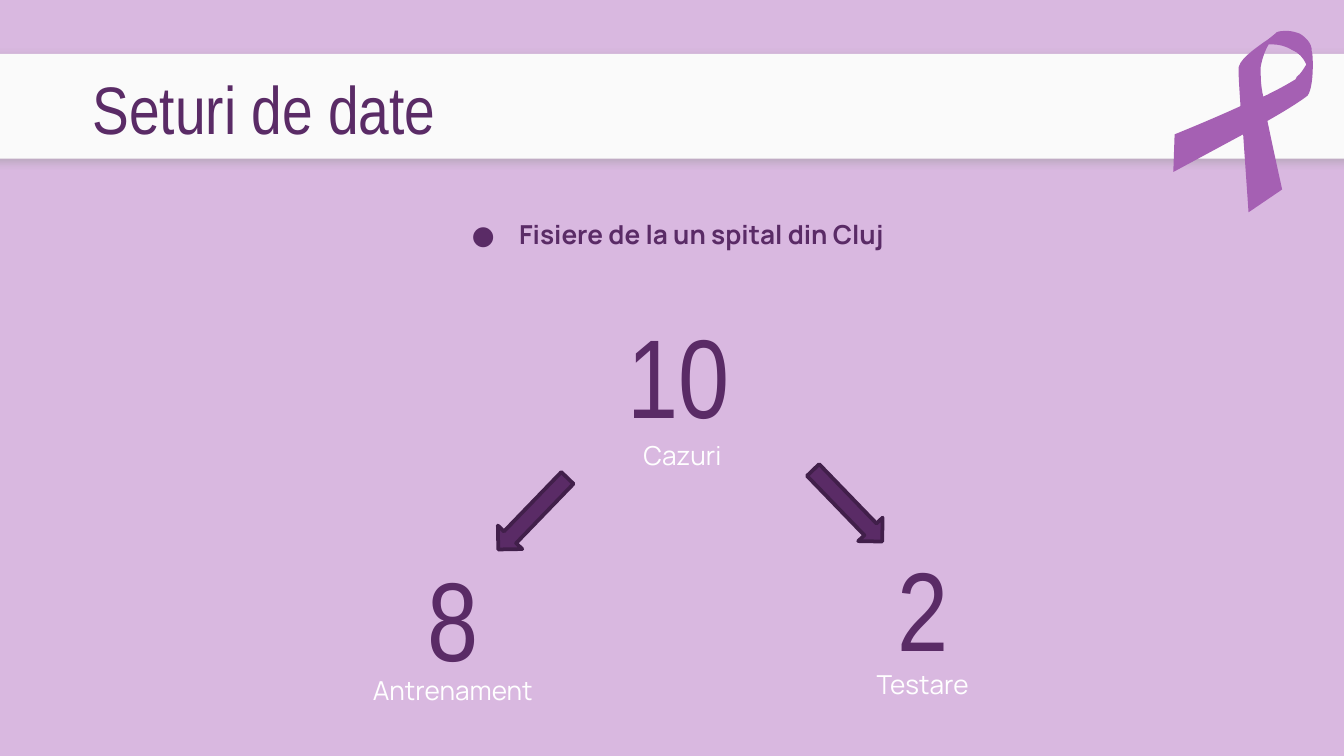
from dataclasses import dataclass

import pptx
import pptx.dml.color
import pptx.enum.shapes
import pptx.enum.text
import pptx.oxml
import pptx.oxml.ns
import pptx.util

Cm = pptx.util.Cm
Pt = pptx.util.Pt
qn = pptx.oxml.ns.qn
SPACE = pptx.oxml.ns.nsdecls("a")
SHAPE = pptx.enum.shapes.MSO_SHAPE
ALIGN = pptx.enum.text.PP_ALIGN
ANCHOR = pptx.enum.text.MSO_ANCHOR


@dataclass(frozen=True)
class Theme:
    back: str = "D9B8E0"
    band: str = "FAFAFA"
    shade: str = "999999"
    ribbon: str = "A560B3"
    dark: str = "5A2B66"
    edge: str = "411F4A"
    light: str = "FFFFFF"
    head_font: str = "Arial Narrow"
    body_font: str = "Manrope"
    title_size: int = 36
    count_size: int = 60
    body_size: int = 14


THEME = Theme()

# Ribbon outlines in hundredths of an inch: a start, then lines (one point)
# and curves (two control points and an end)
LOOP = [
    [(946, 33)], [(951, 33), (956, 34), (961, 37)],
    [(966, 39), (970, 43), (972, 48)], [(970, 51), (968, 55), (965, 57)],
    [(964, 59)], [(956, 64), (948, 68), (940, 72)],
    [(938, 64), (938, 57), (938, 50)], [(939, 44), (941, 38), (944, 33)],
    [(944, 33), (945, 33), (946, 33)],
]
BODY = [
    [(958, 23)], [(955, 23), (952, 23), (950, 24)],
    [(949, 25), (943, 30), (941, 31)], [(934, 36), (924, 43), (922, 49)],
    [(921, 50), (922, 63), (923, 79)], [(899, 90), (874, 100), (874, 100)],
    [(873, 128)], [(873, 128), (899, 114), (925, 100)],
    [(927, 129), (929, 158), (929, 158)], [(954, 141)],
    [(954, 141), (948, 114), (943, 90)], [(959, 81), (971, 73), (973, 71)],
    [(978, 64), (977, 39), (976, 38)], [(976, 38), (977, 31), (967, 25)],
    [(964, 24), (961, 23), (958, 23)],
]


def tint(hue):
    return pptx.dml.color.RGBColor.from_string(hue)


def paint(shape, hue, edge=None):
    shape.shadow.inherit = False
    shape.fill.solid()
    shape.fill.fore_color.rgb = tint(hue)
    if edge:
        shape.line.color.rgb = tint(edge)
        shape.line.width = Pt(2)
    else:
        shape.line.fill.background()


def add_text(slide, box, words, font, size, hue, align=ALIGN.CENTER,
             anchor=ANCHOR.TOP, bold=False):
    frame = slide.shapes.add_textbox(*map(Cm, box)).text_frame
    frame.word_wrap = True
    frame.vertical_anchor = anchor
    frame.margin_left = frame.margin_right = Cm(0.25)
    frame.margin_top = frame.margin_bottom = Cm(0.25)
    para = frame.paragraphs[0]
    para.alignment = align
    run = para.add_run()
    run.text = words
    run.font.name = font
    run.font.size = Pt(size)
    run.font.bold = bold
    run.font.color.rgb = tint(hue)
    return para


def add_point(slide, box, words):
    para = add_text(slide, box, words, THEME.body_font, THEME.body_size,
                    THEME.dark, ALIGN.LEFT, bold=True)
    para.line_spacing = 1.15
    props = para._p.get_or_add_pPr()
    props.set("marL", str(Cm(1.27)))
    props.set("indent", str(Cm(-0.89)))
    for part in (f'<a:buClr {SPACE}><a:srgbClr val="{THEME.dark}"/></a:buClr>',
                 f'<a:buSzPts {SPACE} val="{THEME.body_size * 100}"/>',
                 f'<a:buFont {SPACE} typeface="{THEME.body_font}"/>',
                 f'<a:buChar {SPACE} char="●"/>'):
        props.append(pptx.oxml.parse_xml(part))


def add_count(slide, spot, count, label_spot, label):
    add_text(slide, (*spot, 8.89, 1.7), count, THEME.head_font,
             THEME.count_size, THEME.dark, anchor=ANCHOR.MIDDLE)
    add_text(slide, (*label_spot, 7.7, 1.5), label, THEME.body_font,
             THEME.body_size, THEME.light)


def add_arrow(slide, left, top, turn):
    arrow = slide.shapes.add_shape(
        SHAPE.RIGHT_ARROW, Cm(left), Cm(top), Cm(1.88), Cm(0.64))
    arrow.rotation = turn
    paint(arrow, THEME.dark, THEME.edge)


def add_band(slide):
    band = slide.shapes.add_shape(
        SHAPE.RECTANGLE, Cm(-0.25), Cm(1.02), Cm(26.19), Cm(1.98))
    paint(band, THEME.band)
    band._element.spPr.find(qn("a:effectLst")).append(pptx.oxml.parse_xml(
        f'<a:outerShdw {SPACE} blurRad="{Pt(4.5)}" '
        f'dist="{Pt(1.5)}" dir="5400000" algn="bl" rotWithShape="0">'
        f'<a:srgbClr val="{THEME.shade}"><a:alpha val="50000"/></a:srgbClr>'
        '</a:outerShdw>'))


def add_ribbon(slide):
    loop, body = ([point for part in outline for point in part]
                  for outline in (LOOP, BODY))
    pen = slide.shapes.build_freeform(*loop[0], scale=Cm(0.0254))
    pen.add_line_segments(loop[1:], close=True)
    pen.move_to(*body[0])
    pen.add_line_segments(body[1:], close=True)
    ribbon = pen.convert_to_shape()
    paint(ribbon, THEME.ribbon)

    # Join each run of three points into one curve
    lines = iter(list(ribbon._element.iter(qn("a:lnTo"))))
    for part in LOOP[1:] + BODY[1:]:
        group = [next(lines) for _ in part]
        if len(group) == 3:
            curve = pptx.oxml.parse_xml(f"<a:cubicBezTo {SPACE}/>")
            group[0].addprevious(curve)
            for line in group:
                curve.append(line[0])
                line.getparent().remove(line)


def main():
    deck = pptx.Presentation()
    deck.slide_width, deck.slide_height = Cm(25.4), Cm(14.29)
    slide = deck.slides.add_slide(deck.slide_layouts[6])
    slide.background.fill.solid()
    slide.background.fill.fore_color.rgb = tint(THEME.back)

    # Header
    add_band(slide)
    add_ribbon(slide)
    add_text(slide, (1.5, 1.02, 12.57, 1.6), "Seturi de date",
             THEME.head_font, THEME.title_size, THEME.dark, ALIGN.LEFT)

    # Source of the data
    add_point(slide, (8.29, 3.79, 15.49, 1.65),
              "Fisiere de la un spital din Cluj")

    # Cases and how they split
    add_count(slide, (8.38, 6.21), "10", (9.05, 8.05), "Cazuri")
    add_count(slide, (4.11, 10.81), "8", (4.71, 12.5), "Antrenament")
    add_count(slide, (13, 10.62), "2", (13.59, 12.38), "Testare")
    add_arrow(slide, 9.13, 9.39, 134)
    add_arrow(slide, 15.08, 9.24, 46)

    deck.save("out.pptx")


if __name__ == "__main__":
    main()
